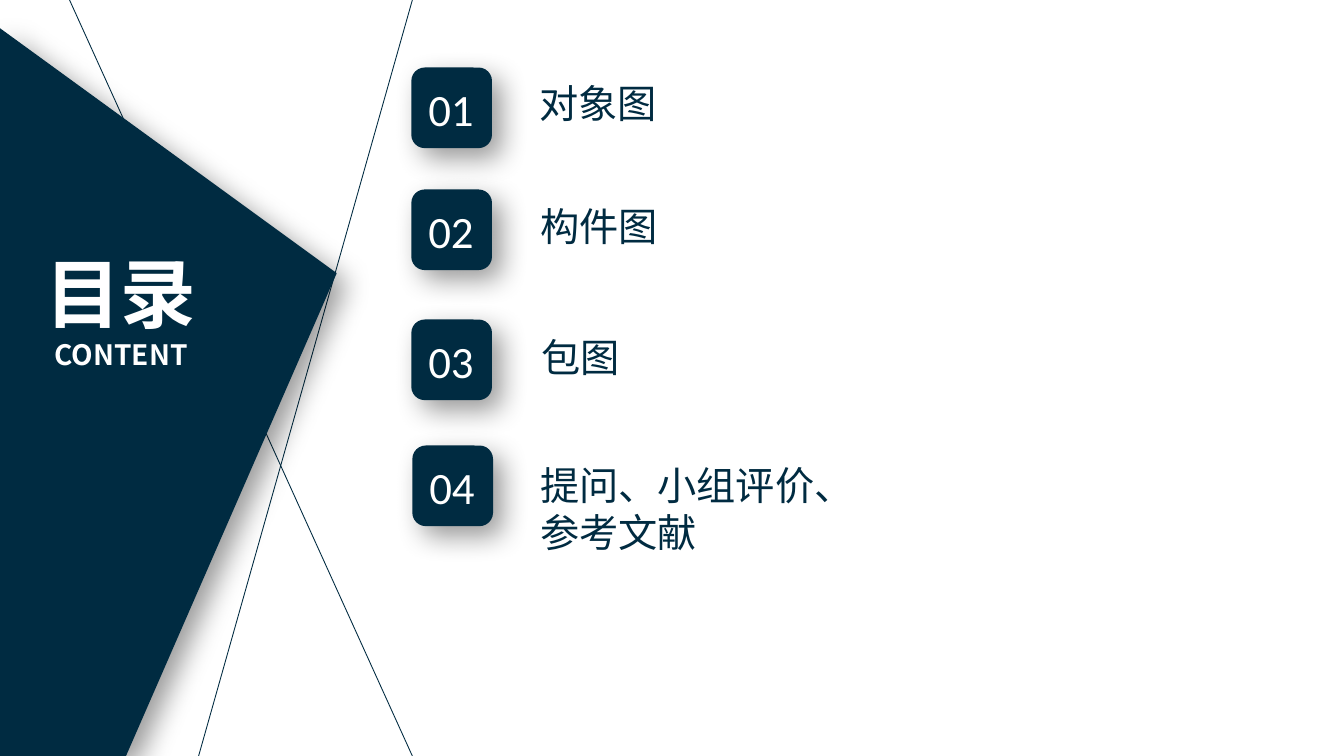
"""Build the contents slide with four numbered sections."""
from dataclasses import dataclass

from lxml import etree
from pptx import Presentation
from pptx.dml.color import RGBColor
from pptx.enum.shapes import MSO_CONNECTOR, MSO_SHAPE
from pptx.enum.text import MSO_ANCHOR, MSO_AUTO_SIZE, PP_ALIGN
from pptx.oxml import parse_xml
from pptx.oxml.ns import nsdecls, qn
from pptx.util import Inches, Pt

STRAIGHT = MSO_CONNECTOR.STRAIGHT
RECT, ROUND_RECT = MSO_SHAPE.RECTANGLE, MSO_SHAPE.ROUNDED_RECTANGLE
TOP, LEFT, CENTER = MSO_ANCHOR.TOP, PP_ALIGN.LEFT, PP_ALIGN.CENTER
NO_AUTOSIZE = MSO_AUTO_SIZE.NONE


@dataclass(frozen=True)
class Theme:
    navy: RGBColor = RGBColor(0x00, 0x2B, 0x41)
    white: RGBColor = RGBColor(0xFF, 0xFF, 0xFF)
    cjk: str = "Noto Sans CJK SC"
    latin: str = "Calibri"
    title: Pt = Pt(54)
    subtitle: Pt = Pt(20)
    number: Pt = Pt(32)
    label: Pt = Pt(28)
    line: Pt = Pt(0.63)


@dataclass(frozen=True)
class Section:
    label: str
    left: float
    top: float
    label_left: float
    label_top: float
    label_height: float = 0.57


THEME = Theme()
SECTIONS = [
    Section("对象图", 4.08, 0.67, 5.25, 0.74),
    Section("构件图", 4.08, 1.88, 5.26, 1.96),
    Section("包图", 4.08, 3.17, 5.27, 3.26),
    Section("提问、小组评价、参考文献", 4.09, 4.42, 5.26, 4.53, 1.04),
]
LINES = [((4.09, 0), (1.97, 7.5)), ((4.09, 7.5), (0.69, 0))]
PANEL = [(1.25, 7.5), (0, 7.5), (0, 0.28), (3.34, 2.71)]


def box(left: float, top: float, width: float, height: float) -> list:
    return [Inches(v) for v in (left, top, width, height)]


def paint(sp, color: RGBColor) -> None:
    sp.shadow.inherit = False
    sp.fill.solid()
    sp.fill.fore_color.rgb = color
    sp.line.fill.background()


def add_shadow(sp) -> None:
    effects = sp._element.spPr.find(qn("a:effectLst"))
    effects.append(parse_xml(
        f'<a:outerShdw {nsdecls("a")} blurRad="{Pt(20)}" dist="{Pt(10)}" '
        'dir="2700000" algn="tl" rotWithShape="0"><a:srgbClr val="000000">'
        '<a:alpha val="40000"/></a:srgbClr></a:outerShdw>'))


def add_run(p, text: str, size: Pt, font: str, color: RGBColor,
            bold: bool = False, align=LEFT) -> None:
    p.alignment = align
    r = p.add_run()
    r.text = text
    r.font.size, r.font.name, r.font.bold = size, font, bold
    r.font.color.rgb = color
    etree.SubElement(r._r.rPr, qn("a:ea")).set("typeface", font)


def add_line(slide, start: tuple, end: tuple) -> None:
    line = slide.shapes.add_connector(
        STRAIGHT, *[Inches(v) for v in (*start, *end)])
    line.line.color.rgb = THEME.navy
    line.line.width = THEME.line
    etree.SubElement(line._element.spPr, qn("a:effectLst"))


def add_panel(slide) -> None:
    points = [(Inches(x), Inches(y)) for x, y in PANEL]
    builder = slide.shapes.build_freeform(*points[0])
    builder.add_line_segments(points[1:], close=True)
    panel = builder.convert_to_shape()
    paint(panel, THEME.navy)
    add_shadow(panel)


def set_title(slide) -> None:
    title = slide.shapes.title
    slide.shapes._spTree.append(title._element)
    title.left, title.top, title.width, title.height = box(0.24, 2.4, 1.92, 1.35)
    tf = title.text_frame
    tf.word_wrap, tf.auto_size, tf.vertical_anchor = True, NO_AUTOSIZE, TOP
    add_run(tf.paragraphs[0], "目录", THEME.title, THEME.cjk,
            THEME.white, True, CENTER)
    add_run(tf.add_paragraph(), "CONTENT", THEME.subtitle, THEME.cjk,
            THEME.white, True, CENTER)


def add_section(slide, number: int, section: Section) -> None:
    badge = slide.shapes.add_shape(
        ROUND_RECT, *box(section.left, section.top, 0.8, 0.8))
    paint(badge, THEME.navy)
    add_shadow(badge)

    label = slide.shapes.add_shape(RECT, *box(
        section.label_left, section.label_top, 3.17, section.label_height))
    paint(label, THEME.white)
    tf = label.text_frame
    tf.word_wrap, tf.vertical_anchor = True, TOP
    add_run(tf.paragraphs[0], section.label, THEME.label, THEME.cjk, THEME.navy)

    num = slide.shapes.add_textbox(
        *box(section.left + 0.07, section.top + 0.09, 0.66, 0.64))
    tf = num.text_frame
    tf.word_wrap = False
    add_run(tf.paragraphs[0], f"{number:02}", THEME.number, THEME.latin, THEME.white)


def main() -> None:
    prs = Presentation()
    prs.slide_width, prs.slide_height = Inches(13.33), Inches(7.5)
    slide = prs.slides.add_slide(prs.slide_layouts[5])
    for start, end in LINES:
        add_line(slide, start, end)
    add_panel(slide)
    set_title(slide)
    for number, section in enumerate(SECTIONS, 1):
        add_section(slide, number, section)
    prs.save("out.pptx")


main()
